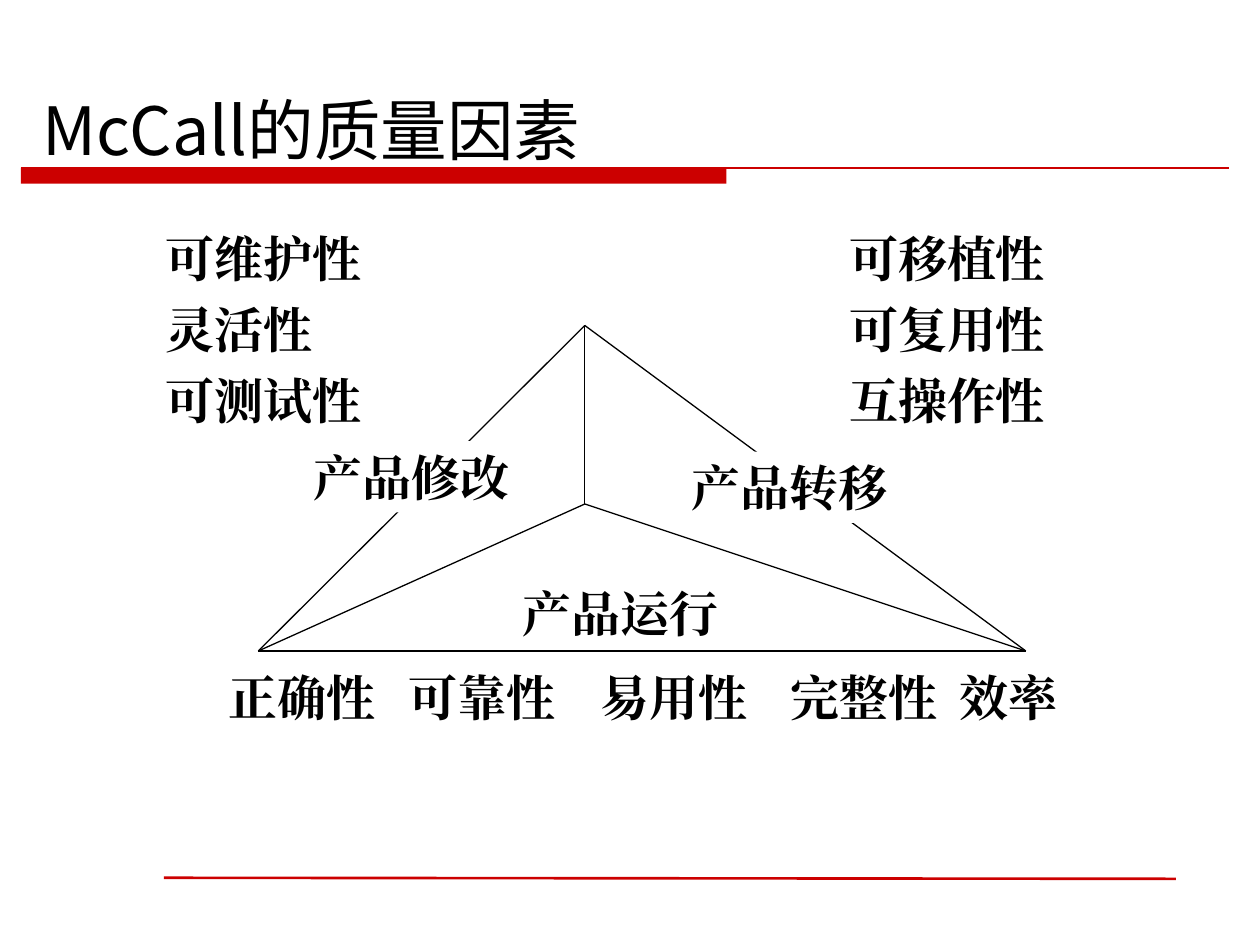
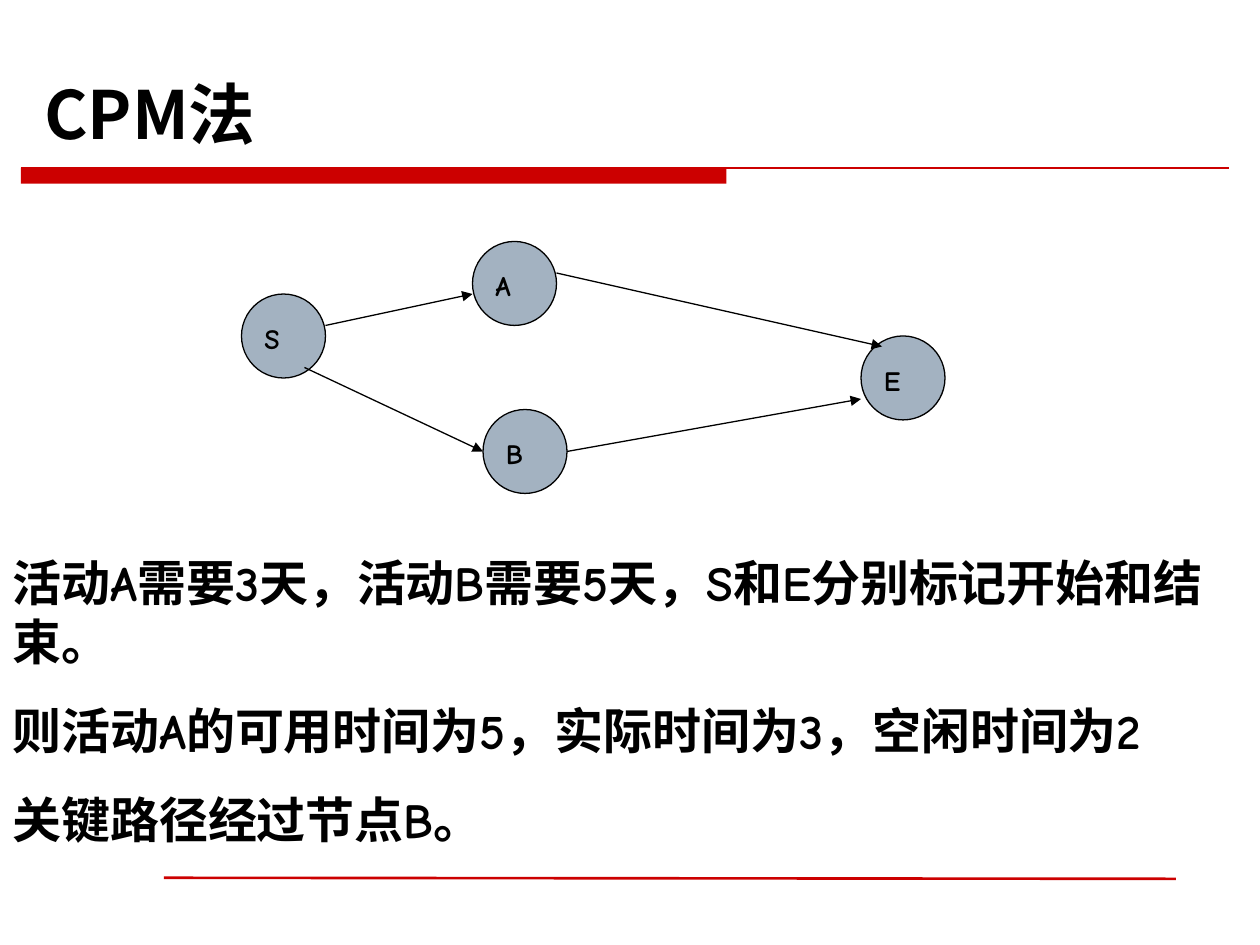
from itertools import combinations

from lxml.etree import SubElement
from pptx import Presentation
from pptx.dml.color import RGBColor
from pptx.enum.shapes import MSO_CONNECTOR as Connector, MSO_SHAPE as Shape
from pptx.enum.text import MSO_ANCHOR as Anchor, MSO_AUTO_SIZE as AutoSize, PP_ALIGN as Align
from pptx.oxml.ns import qn
from pptx.util import Inches, Pt

RED = RGBColor(0xCC, 0x00, 0x00)
BLACK = RGBColor(0x00, 0x00, 0x00)
WHITE = RGBColor(0xFF, 0xFF, 0xFF)
NODE_GREY = RGBColor(0xA3, 0xB2, 0xC1)
TITLE_FONT = "Noto Sans CJK SC"
FACTOR_FONT = "Times New Roman"
NETWORK_FONT = "Comic Neue"
LABEL_HEIGHT = 6.8
NODE_SIZE = 8


def grid(*steps):
    """Turn steps of a grid with twelve per inch into lengths."""
    return [Inches(step / 12) for step in steps]


def add_run(paragraph, text, size, font, bold=True):
    """Append one black run, with the same font for Latin and Chinese."""
    run = paragraph.add_run()
    run.text = text
    run.font.size = Pt(size)
    run.font.bold = bold
    run.font.name = font
    run.font.color.rgb = BLACK
    SubElement(run.font._element, qn("a:ea"), typeface=font)


def add_line(slide, start, end, color=BLACK, width=0.75, arrow=False):
    """Draw a straight line between two grid points."""
    line = slide.shapes.add_connector(Connector.STRAIGHT, *grid(*start, *end))
    line.line.color.rgb = color
    line.line.width = Pt(width)
    if arrow:
        SubElement(line.line._get_or_add_ln(), qn("a:tailEnd"), type="triangle")
    SubElement(line.element.spPr, qn("a:effectLst"))


def add_filled(slide, kind, box, fill, outline=None):
    """Draw a flat preset shape with an optional thin outline."""
    shape = slide.shapes.add_shape(kind, *grid(*box))
    shape.shadow.inherit = False
    shape.fill.solid()
    shape.fill.fore_color.rgb = fill
    if outline is None:
        shape.line.fill.background()
    else:
        shape.line.color.rgb = outline
        shape.line.width = Pt(0.75)
    return shape


def write_lines(holder, lines, font, size=28, before=17.5, spacing=None, tabs=()):
    """Fill a shape with left-aligned paragraphs."""
    frame = holder.text_frame
    frame.word_wrap = True
    frame.auto_size = AutoSize.SHAPE_TO_FIT_TEXT
    frame.vertical_anchor = Anchor.TOP
    for index, text in enumerate(lines):
        paragraph = frame.add_paragraph() if index else frame.paragraphs[0]
        paragraph.alignment = Align.LEFT
        paragraph.space_before = Pt(before)
        if spacing:
            paragraph.line_spacing = spacing
        if tabs:
            stops = SubElement(paragraph._p.get_or_add_pPr(), qn("a:tabLst"))
            for stop in tabs:
                SubElement(stops, qn("a:tab"), pos=str(Inches(stop)), algn="l")
        add_run(paragraph, text, size, font)


def add_text(slide, box, lines, font, **style):
    """Add a text box at a grid position."""
    write_lines(slide.shapes.add_textbox(*grid(*box)), lines, font, **style)


def add_titled_slide(deck, title, box, bold):
    """Start a slide with the red band, the footer rule and its title."""
    slide = deck.slides.add_slide(deck.slide_layouts[5])
    add_filled(slide, Shape.RECTANGLE, (2, 16, 67.2, 1.5), RED)
    add_line(slide, (2, 16), (117, 16), RED)
    add_line(slide, (15.6, 83.6), (112, 83.7), RED, 1.5)
    heading = slide.shapes.title
    heading.left, heading.top, heading.width, heading.height = grid(*box)
    heading.text_frame.auto_size = AutoSize.NONE
    heading.text_frame.vertical_anchor = Anchor.BOTTOM
    paragraph = heading.text_frame.paragraphs[0]
    paragraph.alignment = Align.LEFT
    add_run(paragraph, title, 38, TITLE_FONT, bold)
    return slide


def build_quality_factors(deck):
    """Build the triangle of quality factors."""
    slide = add_titled_slide(deck, "McCall的质量因素", (2.8, 7.5, 102, 9.2), False)
    apex, left_corner, right_corner, center = (55.7, 31), (24.6, 62), (97.7, 62), (55.7, 48)
    for start, end in combinations((apex, left_corner, right_corner, center), 2):
        add_line(slide, start, end)

    add_text(slide, (48.6, 55, 23, LABEL_HEIGHT), ["产品运行"], FACTOR_FONT)
    for aspect, left, top, width in (("产品修改", 28.7, 42, 22), ("产品转移", 64.7, 43, 23)):
        label = add_filled(slide, Shape.RECTANGLE, (left, top, width, LABEL_HEIGHT), WHITE)
        write_lines(label, [aspect], FACTOR_FONT)

    for left, factors in (
        (14.6, ["可维护性", "灵活性", "可测试性"]),
        (79.7, ["可移植性", "可复用性", "互操作性"]),
    ):
        add_text(slide, (left, 22, 23, 19.5), factors, FACTOR_FONT, before=12.2, spacing=0.85)
    operation_factors = "\t".join(["正确性", "可靠性", "易用性", "完整性", "效率"])
    add_text(slide, (20.6, 63, 85, LABEL_HEIGHT), [operation_factors], FACTOR_FONT,
             tabs=(1.43, 2.95, 4.46, 5.8))


def add_node(slide, name, left, top):
    """Draw one activity circle with its letter."""
    add_filled(slide, Shape.OVAL, (left, top, NODE_SIZE, NODE_SIZE), NODE_GREY, BLACK)
    add_text(slide, (left + 1, top + 2, 6, 4.4), [name], NETWORK_FONT, size=16, before=10)


def build_critical_path(deck):
    """Build the activity network and its explanation."""
    slide = add_titled_slide(deck, "CPM法", (3, 7.2, 102, 8), True)
    for name, left, top in (("S", 23, 28), ("A", 45, 23), ("B", 46, 39), ("E", 82, 32)):
        add_node(slide, name, left, top)
    for start, end in (
        ((31, 31), (45, 28)),
        ((53, 26), (84, 33)),
        ((29, 35), (46, 43)),
        ((54, 43), (82, 38)),
    ):
        add_line(slide, start, end, arrow=True)
    add_text(slide, (0, 52, 120, 29.5), [
        "活动A需要3天，活动B需要5天，S和E分别标记开始和结束。",
        "则活动A的可用时间为5，实际时间为3，空闲时间为2",
        "关键路径经过节点B。",
    ], NETWORK_FONT)


def main():
    """Build and save the presentation."""
    deck = Presentation()
    deck.slide_width, deck.slide_height = Inches(10), Inches(7.5)
    build_quality_factors(deck)
    build_critical_path(deck)
    deck.save("out.pptx")


if __name__ == "__main__":
    main()
